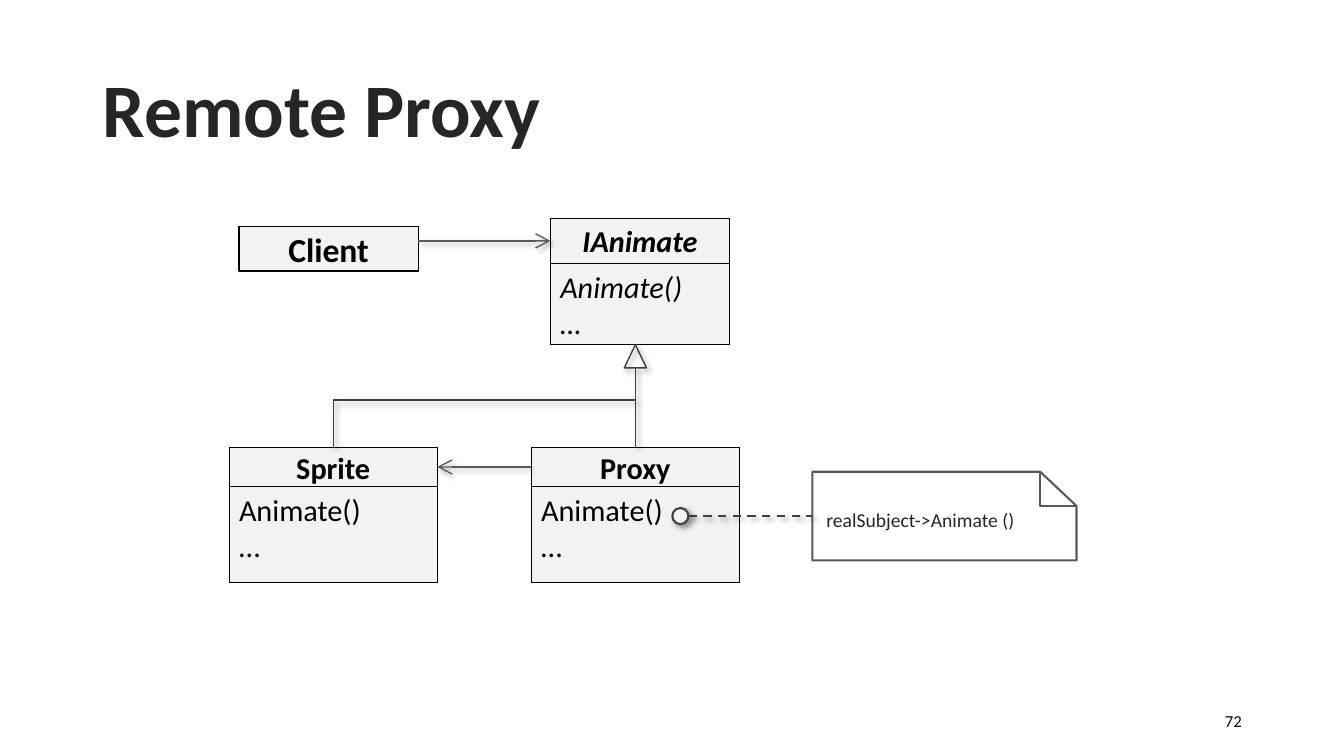
import pptx
import pptx.util
import pptx.dml.color
import pptx.enum.dml
import pptx.enum.shapes
import pptx.enum.text
import pptx.oxml
import pptx.oxml.ns

Pt = pptx.util.Pt
RGB = pptx.dml.color.RGBColor.from_string
SHAPE = pptx.enum.shapes.MSO_SHAPE
ALIGN = pptx.enum.text.PP_ALIGN
ANCHOR = pptx.enum.text.MSO_ANCHOR
NS = pptx.oxml.ns.nsdecls("a")

THEME = {
    "font": "Calibri",
    "ink": "000000", "heading": "262626", "number": "0D0D0D",
    "panel": "F2F2F2", "line": "404040", "arrow": "595959",
    "title": 54, "client": 24, "class": 21.6, "note": 14, "page": 12,
}
SHADOW = (
    f'<a:effectLst {NS}><a:outerShdw blurRad="50800" dist="38100" dir="2700000" '
    'algn="tl" rotWithShape="0"><a:srgbClr val="000000"><a:alpha val="40000"/>'
    '</a:srgbClr></a:outerShdw></a:effectLst>'
)

prs = pptx.Presentation()
prs.slide_width = pptx.util.Inches(13.33)
prs.slide_height = pptx.util.Inches(7.5)
slide = prs.slides.add_slide(prs.slide_layouts[6])
COL = prs.slide_width / 40
ROW = prs.slide_height / 30


def grid(*cells):
    return [round(n * (ROW if i % 2 else COL)) for i, n in enumerate(cells)]


def write(sp, text, size, color="ink", bold=False, italic=False,
          align=ALIGN.LEFT, anchor=ANCHOR.MIDDLE, spacing=None):
    tf = sp.text_frame
    tf.word_wrap = True
    tf.vertical_anchor = anchor
    for i, line in enumerate(text.split("\n")):
        p = tf.add_paragraph() if i else tf.paragraphs[0]
        p.alignment = align
        p.line_spacing = spacing
        r = p.add_run()
        r.text = line
        r.font.name = THEME["font"]
        r.font.size = Pt(THEME[size])
        r.font.bold = bold
        r.font.italic = italic
        r.font.color.rgb = RGB(THEME[color])


title = slide.shapes.add_textbox(*grid(2.76, 1.6, 34.5, 5.8))
write(title, "Remote Proxy", "title", "heading", True, spacing=0.9)
page = slide.shapes.add_textbox(*grid(28.26, 27.8, 9, 1.6))
write(page, "72", "page", "number", align=ALIGN.RIGHT)

heads = {}
for name, left, top, width, head, body, italic in [
    ("Client", 7.11, 9, 5.34, 1.76, 0, False),
    ("IAnimate", 16.38, 8.68, 5.34, 1.76, 3.24, True),
    ("Proxy", 15.81, 17.76, 6.2, 1.54, 3.82, False),
    ("Sprite", 6.82, 17.76, 6.2, 1.54, 3.82, False),
]:
    parts = [(name, top, head), ("Animate()\n…", top + head, body)]
    for text, y, height in parts if body else parts[:1]:
        sp = slide.shapes.add_shape(SHAPE.RECTANGLE, *grid(left, y, width, height))
        sp.shadow.inherit = False
        sp.fill.solid()
        sp.fill.fore_color.rgb = RGB(THEME["panel"])
        sp.line.color.rgb = RGB(THEME["ink"])
        sp.line.width = Pt(0.5 if body else 1)
        if text == name:
            heads[name] = sp
            write(sp, text, "class" if body else "client", bold=True,
                  italic=italic, align=ALIGN.CENTER)
        else:
            write(sp, text, "class", italic=italic, anchor=ANCHOR.TOP)

for kind, cells, fill, width in [
    (SHAPE.ISOSCELES_TRIANGLE, (18.58, 13.68, 0.66, 0.92), None, 1),
    (SHAPE.OVAL, (20.01, 20.16, 0.48, 0.64), "panel", 1.5),
]:
    sp = slide.shapes.add_shape(kind, *grid(*cells))
    if fill:
        sp.fill.solid()
        sp.fill.fore_color.rgb = RGB(THEME[fill])
    else:
        sp.fill.background()
    sp.line.color.rgb = RGB(THEME["line"])
    sp.line.width = Pt(width)
    sp._element.spPr.append(pptx.oxml.parse_xml(SHADOW))

for ends, style, begin, end in [
    ((12.45, 9.56, 16.38, 9.56), "arrow", None, ("IAnimate", 1)),
    ((15.81, 18.53, 13.02, 18.53), "arrow", ("Proxy", 1), ("Sprite", 3)),
    ((18.91, 14.6, 18.91, 17.76), "line", None, ("Proxy", 0)),
    ((18.91, 15.88, 9.92, 15.88), "line", None, None),
    ((9.92, 15.88, 9.92, 17.76), "line", None, ("Sprite", 0)),
    ((20.49, 20.48, 24.18, 20.48), "dash", None, None),
]:
    link = slide.shapes.add_connector(
        pptx.enum.shapes.MSO_CONNECTOR.STRAIGHT, *grid(*ends))
    link.line.color.rgb = RGB(THEME["arrow" if style == "arrow" else "line"])
    link.line.width = Pt(1.5 if style == "dash" else 1)
    if style == "dash":
        link.line.dash_style = pptx.enum.dml.MSO_LINE.DASH
    if style == "arrow":
        link.line._get_or_add_ln().append(pptx.oxml.parse_xml(
            f'<a:tailEnd {NS} type="arrow" w="lg" len="lg"/>'))
    if begin:
        link.begin_connect(heads[begin[0]], begin[1])
    if end:
        link.end_connect(heads[end[0]], end[1])
    link._element.spPr.append(pptx.oxml.parse_xml(SHADOW))

left, top, right, bottom = 24.18, 18.72, 32.04, 22.24
fold_x, fold_y = 30.96, 20.08
for points, closed in [
    ([(left, top), (fold_x, top), (right, fold_y), (right, bottom), (left, bottom)], True),
    ([(fold_x, top), (fold_x, fold_y), (right, fold_y)], False),
]:
    corners = [grid(*point) for point in points]
    pen = slide.shapes.build_freeform(*corners[0])
    pen.add_line_segments(corners[1:], close=closed)
    sp = pen.convert_to_shape()
    sp.shadow.inherit = False
    sp.fill.background()
    sp.line.color.rgb = RGB(THEME["arrow"])
    sp.line.width = Pt(1.5)

note = slide.shapes.add_textbox(*grid(24.3, 19.96, 6.93, 1.36))
write(note, "realSubject->Animate ()", "note", "heading")

prs.save("out.pptx")
